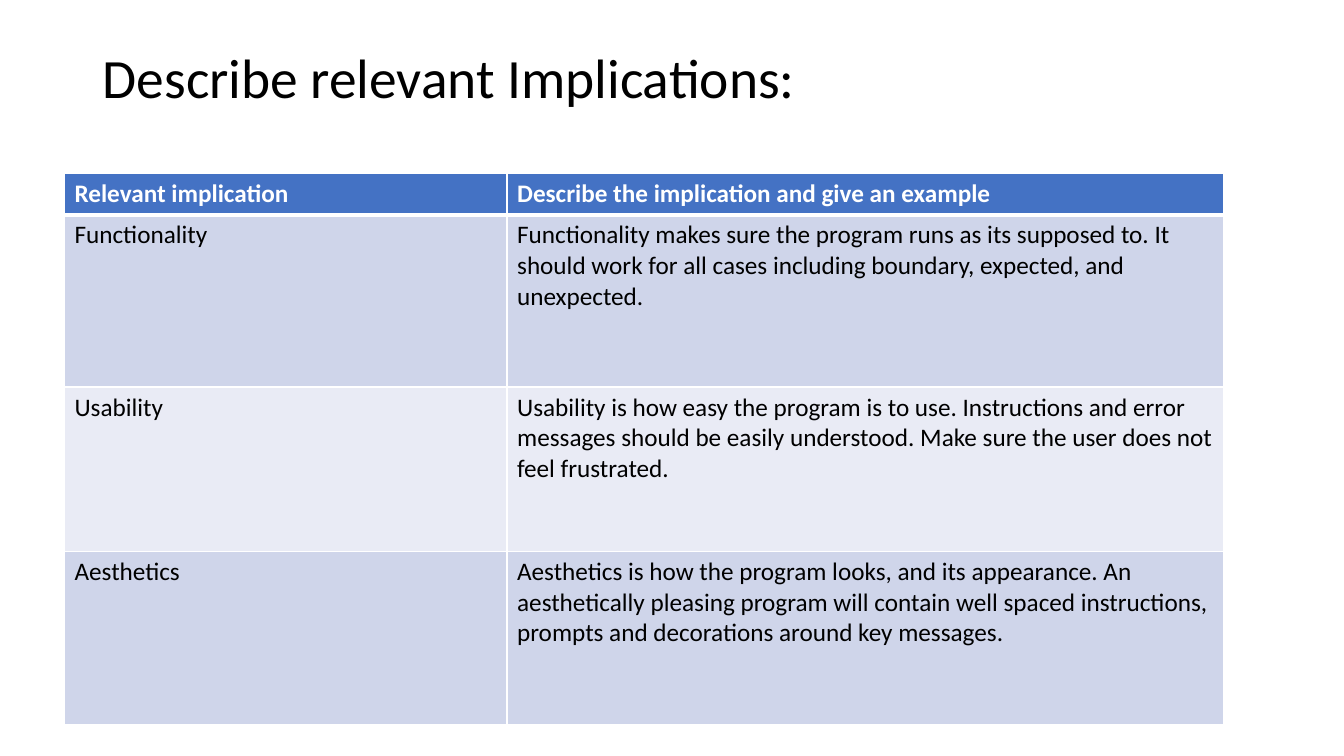
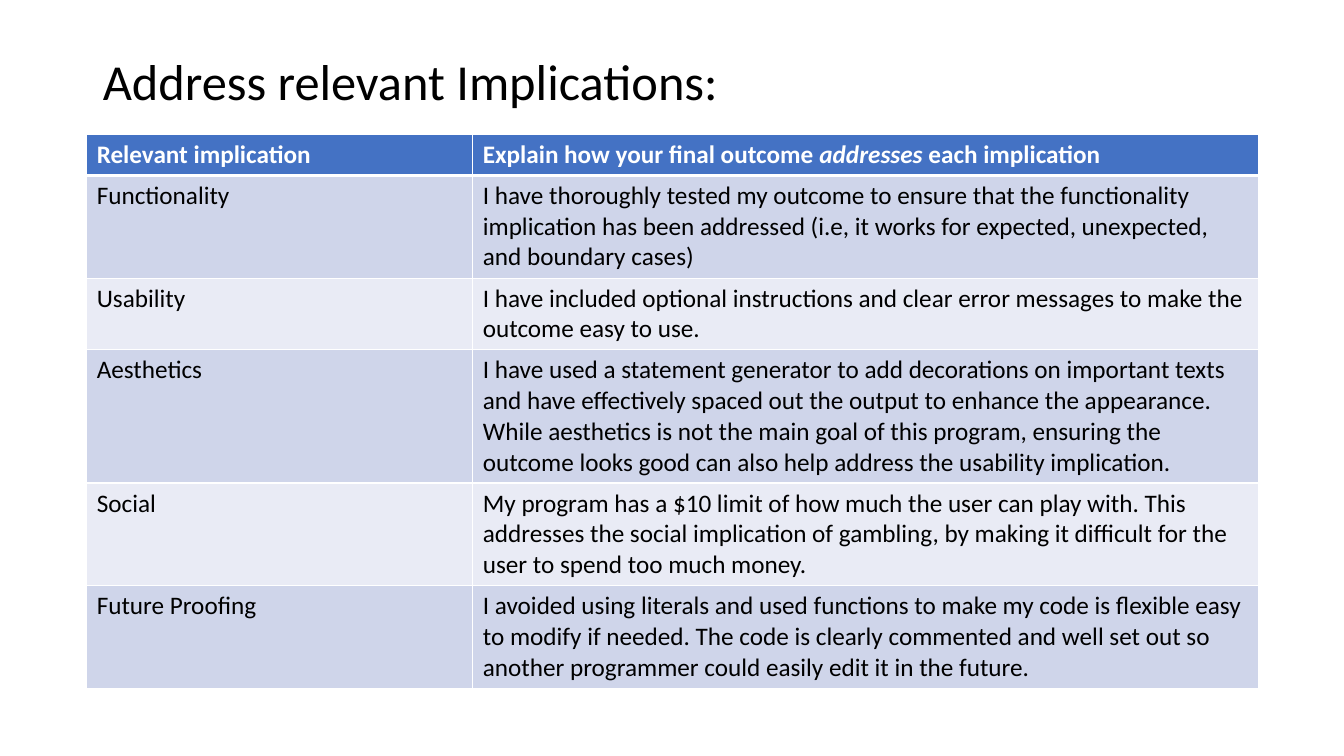
"""Build two slides that tabulate the relevant implications of a program."""
from lxml.etree import SubElement
from pptx import Presentation
from pptx.dml.color import RGBColor
from pptx.enum.text import MSO_ANCHOR, MSO_AUTO_SIZE, PP_ALIGN
from pptx.oxml.ns import qn
from pptx.util import Inches, Pt

WIDTH, HEIGHT = Inches(13.33), Inches(7.5)
FONT = "Calibri"
COLOURS = {
    "text": "000000",
    "header_text": "FFFFFF",
    "header": "4472C4",
    "odd_row": "CFD5EA",
    "even_row": "E9EBF5",
    "border": "FFFFFF",
}
THIN, THICK = 1, 3
TITLE_ONLY = 5

DESCRIPTIONS = [
    ("Relevant implication", "Describe the implication and give an example"),
    ("Functionality",
     "Functionality makes sure the program runs as its supposed to. It should work for all "
     "cases including boundary, expected, and unexpected."),
    ("Usability",
     "Usability is how easy the program is to use. Instructions and error messages should be "
     "easily understood. Make sure the user does not feel frustrated."),
    ("Aesthetics",
     "Aesthetics is how the program looks, and its appearance. An aesthetically pleasing "
     "program will contain well spaced instructions, prompts and decorations around key "
     "messages."),
]
ACTIONS = [
    ("Relevant implication",
     ("Explain how your final outcome ", "addresses", " each implication")),
    ("Functionality",
     "I have thoroughly tested my outcome to ensure that the functionality implication has "
     "been addressed (i.e, it works for expected, unexpected, and boundary cases)"),
    ("Usability",
     "I have included optional instructions and clear error messages to make the outcome easy "
     "to use."),
    ("Aesthetics",
     "I have used a statement generator to add decorations on important texts and have "
     "effectively spaced out the output to enhance the appearance. While aesthetics is not "
     "the main goal of this program, ensuring the outcome looks good can also help address "
     "the usability implication."),
    ("Social",
     "My program has a $10 limit of how much the user can play with. This addresses the social "
     "implication of gambling, by making it difficult for the user to spend too much money."),
    ("Future Proofing",
     "I avoided using literals and used functions to make my code is flexible easy to modify "
     "if needed. The code is clearly commented and well set out so another programmer could "
     "easily edit it in the future."),
]


def across(percent):
    """Return a percentage of the slide's width."""
    return round(WIDTH * percent / 100)


def down(percent):
    """Return a percentage of the slide's height."""
    return round(HEIGHT * percent / 100)


def write(paragraph, text, size=18, colour="text", bold=False):
    """Write a string, or a sequence of parts in which every second one is italic."""
    parts = (text,) if isinstance(text, str) else text
    for index, part in enumerate(parts):
        run = paragraph.add_run()
        run.text = part
        run.font.name = FONT
        run.font.size = Pt(size)
        run.font.bold = bold
        run.font.italic = index % 2 == 1
        run.font.color.rgb = RGBColor.from_string(COLOURS[colour])


def add_title(slide, text, size, height):
    """Place and fill the title placeholder."""
    title = slide.shapes.title
    title.left, title.top = across(6.9), down(5.33)
    title.width, title.height = across(86.27), down(height)
    frame = title.text_frame
    frame.auto_size = MSO_AUTO_SIZE.NONE
    frame.vertical_anchor = MSO_ANCHOR.MIDDLE
    paragraph = frame.paragraphs[0]
    paragraph.alignment = PP_ALIGN.LEFT
    paragraph.line_spacing = 1.15
    write(paragraph, text, size=size)


def set_borders(cell, top, bottom):
    """Draw the four borders of a cell, with thin sides."""
    properties = cell._tc.get_or_add_tcPr()
    widths = {"a:lnL": THIN, "a:lnR": THIN, "a:lnT": top, "a:lnB": bottom}
    for tag, width in widths.items():
        line = SubElement(properties, qn(tag), w=str(Pt(width)))
        fill = SubElement(line, qn("a:solidFill"))
        SubElement(fill, qn("a:srgbClr"), val=COLOURS["border"])


def format_cell(cell, text, row):
    """Write and colour a cell according to its row."""
    header = row == 0
    set_borders(cell, top=THICK if row == 1 else THIN, bottom=THICK if header else THIN)
    band = "header" if header else "odd_row" if row % 2 else "even_row"
    cell.fill.solid()
    cell.fill.fore_color.rgb = RGBColor.from_string(COLOURS[band])
    write(cell.text_frame.paragraphs[0], text,
          colour="header_text" if header else "text", bold=header)


def add_implications(slide, content, left, top, columns, rows):
    """Add a table whose place and tracks are percentages of the slide."""
    table = slide.shapes.add_table(
        len(rows), len(columns), across(left), down(top),
        across(sum(columns)), down(sum(rows))).table
    for column, width in zip(table.columns, columns):
        column.width = across(width)
    for row, height in zip(table.rows, rows):
        row.height = down(height)
    for row, texts in enumerate(content):
        for column, text in enumerate(texts):
            format_cell(table.cell(row, column), text, row)


def main():
    """Build and save the presentation."""
    presentation = Presentation()
    presentation.slide_width, presentation.slide_height = WIDTH, HEIGHT
    layout = presentation.slide_layouts[TITLE_ONLY]

    slide = presentation.slides.add_slide(layout)
    add_title(slide, "Describe relevant Implications:", size=39.6, height=8.13)
    add_implications(slide, DESCRIPTIONS, left=4.8, top=22.93,
                     columns=(32.93, 53.34), rows=(5.47, 22.8, 21.73, 22.93))

    slide = presentation.slides.add_slide(layout)
    add_title(slide, "Address relevant Implications:", size=36, height=9.33)
    add_implications(slide, ACTIONS, left=6.45, top=17.73,
                     columns=(28.73, 58.44), rows=(5.47, 13.6, 9.47, 17.6, 13.6, 13.6))

    presentation.save("out.pptx")


if __name__ == "__main__":
    main()
